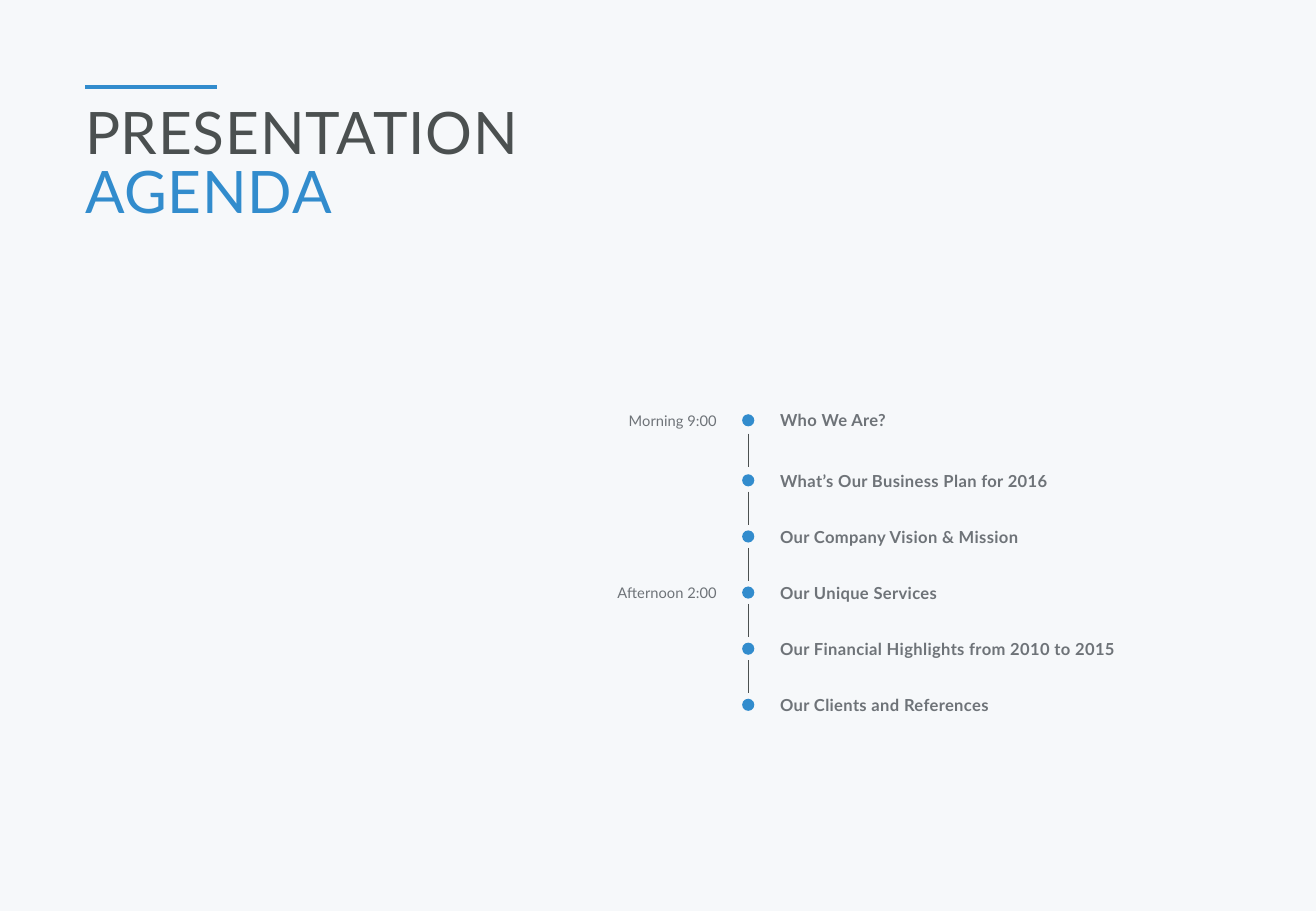
from dataclasses import dataclass
from itertools import pairwise

from lxml import etree
from pptx import Presentation
from pptx import util as u
from pptx.dml.color import RGBColor
from pptx.enum import shapes, text
from pptx.oxml.ns import qn


@dataclass(frozen=True)
class Theme:
    font: str = "Lato"
    background: str = "F6F8FA"
    accent: str = "328CCD"
    dark: str = "4B5050"
    muted: str = "6E7378"
    title_size: float = 34.7
    topic_size: float = 9.8
    time_size: float = 8.7
    rule_width: float = 2.25
    link_width: float = 0.75


THEME = Theme()
WIDTH, HEIGHT = u.Inches(10.83), u.Inches(7.5)
MARGIN, RIGHT_EDGE = 6.46, 93.54
AXIS, TOPIC_LEFT = 56.86, 59.28
TIME_LEFT, TIME_WIDTH = 44.14, 10.34
FIRST_ROW, FIRST_GAP, ROW_GAP = 46.14, 6.59, 6.16
LINK_LENGTH = 3.66
DOT_SIZE = u.Inches(0.1)

AGENDA = [
    ("Morning 9:00", "Who We Are?"),
    ("", "What’s Our Business Plan for 2016"),
    ("", "Our Company Vision & Mission"),
    ("Afternoon 2:00", "Our Unique Services"),
    ("", "Our Financial Highlights from 2010 to 2015"),
    ("", "Our Clients and References"),
]


def column(share):
    return round(WIDTH * share / 100)


def row(share):
    return round(HEIGHT * share / 100)


def color(value):
    return RGBColor.from_string(value)


def add_run(paragraph, content, size, fill, bold=False, spacing=0):
    run = paragraph.add_run()
    run.text = content
    run.font.name = THEME.font
    run.font.size = u.Pt(size)
    run.font.bold = bold
    run.font.color.rgb = color(fill)
    if spacing:
        run._r.get_or_add_rPr().set("spc", str(spacing))


def prepare_frame(shape, anchor):
    frame = shape.text_frame
    frame.margin_left = frame.margin_right = 0
    frame.margin_top = frame.margin_bottom = 0
    frame.word_wrap = True
    frame.auto_size = text.MSO_AUTO_SIZE.NONE
    frame.vertical_anchor = anchor
    return frame


def add_title(slide, lines):
    title = slide.shapes.title
    title.left, title.top = column(MARGIN), row(11.87)
    title.width, title.height = column(RIGHT_EDGE - MARGIN), row(13.07)
    frame = prepare_frame(title, text.MSO_ANCHOR.TOP)
    for index, (content, fill) in enumerate(lines):
        paragraph = frame.add_paragraph() if index else frame.paragraphs[0]
        paragraph.alignment = text.PP_ALIGN.LEFT
        paragraph.line_spacing = u.Pt(THEME.title_size)
        paragraph.space_before = u.Pt(0)
        add_run(paragraph, content, THEME.title_size, fill, spacing=50)


def add_label(slide, left, center, width, content, size, alignment, **style):
    height = u.Pt(size * 1.2)
    label = slide.shapes.add_textbox(
        column(left), row(center) - height // 2, column(width), height)
    frame = prepare_frame(label, text.MSO_ANCHOR.MIDDLE)
    paragraph = frame.paragraphs[0]
    paragraph.alignment = alignment
    add_run(paragraph, content, size, THEME.muted, **style)


def add_line(slide, start, end, fill, width):
    line = slide.shapes.add_connector(
        shapes.MSO_CONNECTOR.STRAIGHT,
        column(start[0]), row(start[1]), column(end[0]), row(end[1]))
    line.line.color.rgb = color(fill)
    line.line.width = u.Pt(width)
    etree.SubElement(line._element.spPr, qn("a:effectLst"))


def add_dot(slide, center):
    dot = slide.shapes.add_shape(
        shapes.MSO_SHAPE.OVAL, column(AXIS) - DOT_SIZE // 2,
        row(center) - DOT_SIZE // 2, DOT_SIZE, DOT_SIZE)
    dot.shadow.inherit = False
    dot.fill.solid()
    dot.fill.fore_color.rgb = color(THEME.accent)
    dot.line.fill.background()


def add_timeline(slide):
    second_row = FIRST_ROW + FIRST_GAP
    centers = [FIRST_ROW] + [
        second_row + ROW_GAP * index for index in range(len(AGENDA) - 1)]
    for center, (time, topic) in zip(centers, AGENDA):
        add_dot(slide, center)
        add_label(slide, TOPIC_LEFT, center, RIGHT_EDGE - TOPIC_LEFT, topic,
                  THEME.topic_size, text.PP_ALIGN.LEFT, bold=True, spacing=20)
        if time:
            add_label(slide, TIME_LEFT, center, TIME_WIDTH, time,
                      THEME.time_size, text.PP_ALIGN.RIGHT)
    for upper, lower in pairwise(centers):
        top = (upper + lower - LINK_LENGTH) / 2
        add_line(slide, (AXIS, top), (AXIS, top + LINK_LENGTH),
                 THEME.dark, THEME.link_width)


def main():
    presentation = Presentation()
    presentation.slide_width, presentation.slide_height = WIDTH, HEIGHT
    slide = presentation.slides.add_slide(
        presentation.slide_layouts.get_by_name("Title Only"))
    slide.background.fill.solid()
    slide.background.fill.fore_color.rgb = color(THEME.background)
    add_title(slide, [("PRESENTATION", THEME.dark), ("AGENDA", THEME.accent)])
    add_line(slide, (MARGIN, 9.55), (16.5, 9.55),
             THEME.accent, THEME.rule_width)
    add_timeline(slide)
    presentation.save("out.pptx")


if __name__ == "__main__":
    main()
